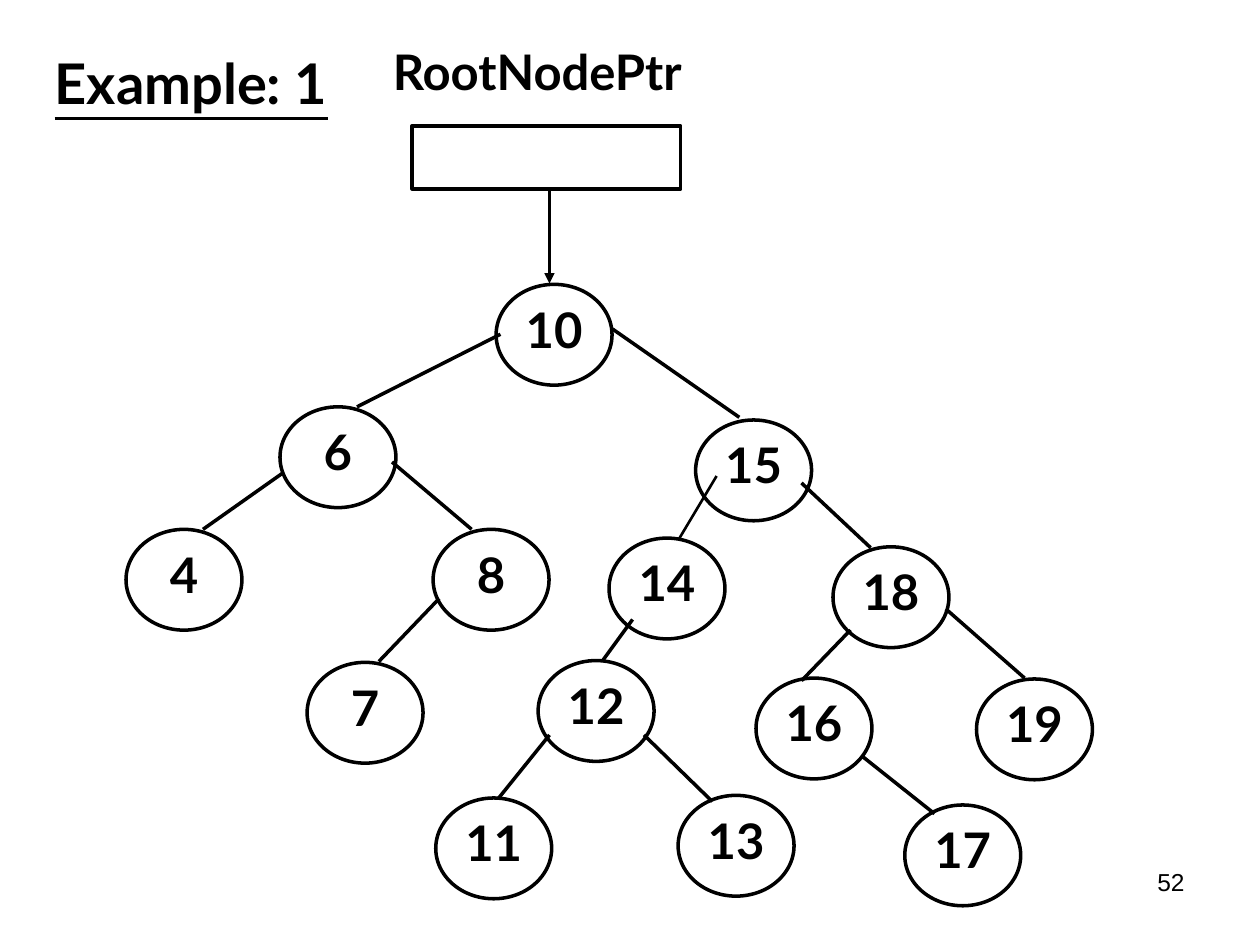
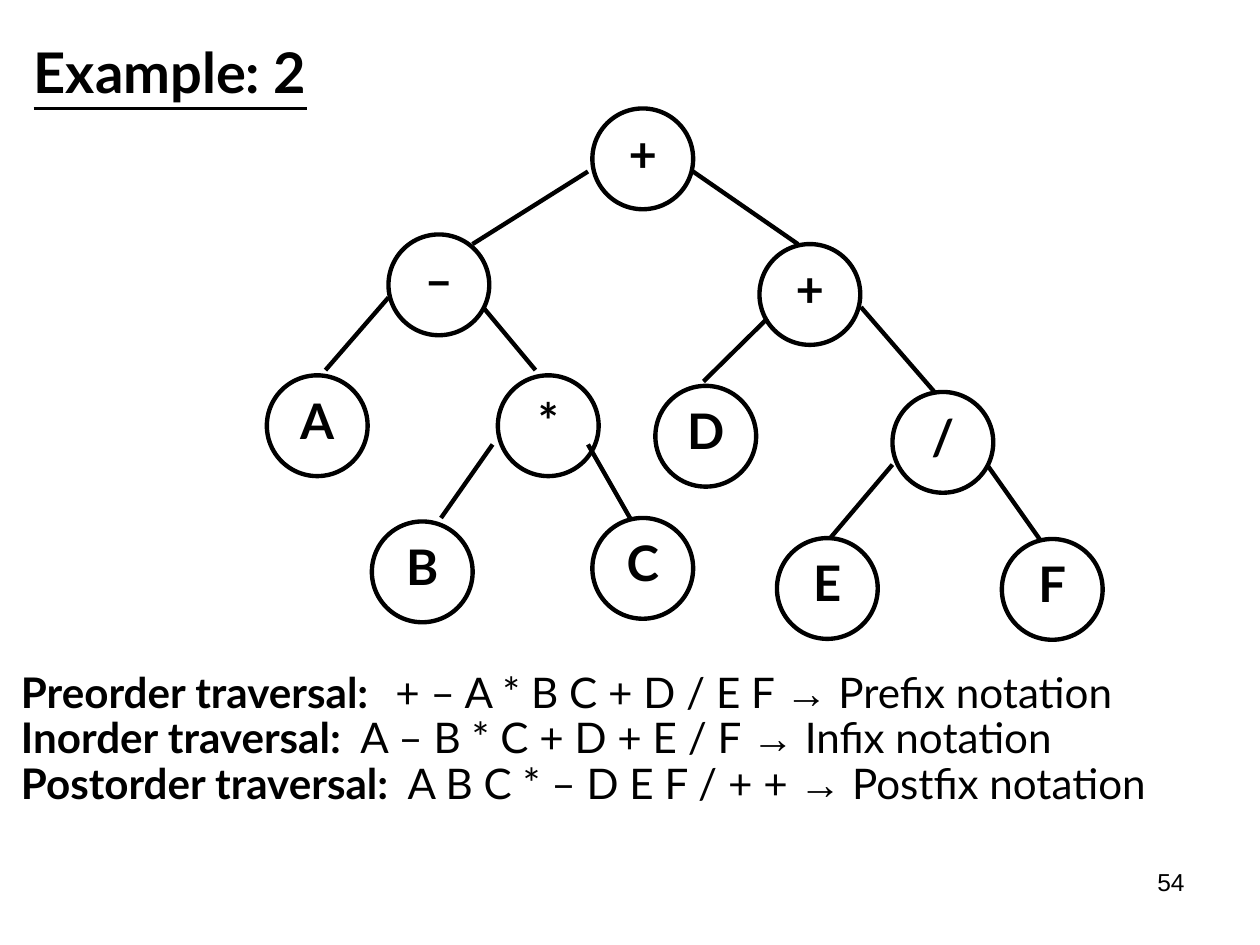
from lxml.etree import SubElement
from pptx import Presentation
from pptx.dml.color import RGBColor
from pptx.enum.shapes import MSO_CONNECTOR as Connector, MSO_SHAPE as Shape
from pptx.enum.text import MSO_ANCHOR as Anchor, PP_ALIGN as Align
from pptx.oxml.ns import qn
from pptx.util import Pt

BLACK = RGBColor(0x00, 0x00, 0x00)
WHITE = RGBColor(0xFF, 0xFF, 0xFF)
LATO = "Lato"
ARIAL = "Arial"
NODE_HEIGHT = 57.6

SEARCH_NODES = [
    ("10", 283.5, 162.5), ("6", 160, 232.5), ("15", 397.5, 240),
    ("4", 72, 302.5), ("8", 247.5, 302.5), ("14", 348, 307.5),
    ("18", 476, 312.5), ("7", 175.5, 378.5), ("12", 307.5, 377.5),
    ("16", 432, 387.5), ("19", 558, 388), ("11", 249, 456),
    ("13", 387.5, 454.5), ("17", 517, 460),
]
SEARCH_EDGES = [
    (286, 191, 204, 232.5), (350, 188, 422.5, 238.5),
    (162, 270, 116, 302.5), (224, 264, 269.5, 302.5),
    (458, 276, 497.5, 313), (251, 342, 216.5, 378),
    (361.5, 354, 344, 378), (486, 360, 458, 389),
    (540.5, 348, 585.5, 387.5), (314, 420, 285, 456),
    (368, 420, 407, 458), (492.5, 432, 534, 465),
]
EXPRESSION_NODES = [
    ("+", 338.5, 62), ("–", 222, 134), ("+", 434, 139.5),
    ("A", 152.5, 214.5), ("*", 284.5, 214.5), ("D", 374.5, 220.5),
    ("/", 510, 224), ("B", 212.5, 298), ("C", 338.5, 296),
    ("E", 444, 307.5), ("F", 572.5, 308),
]
EXPRESSION_EDGES = [
    (336, 98, 270, 139.5), (396, 98, 456, 139.5),
    (222, 170, 186, 211.5), (276, 175.5, 306, 211.5),
    (438.5, 182, 402, 218), (492, 175.5, 534, 224),
    (281.5, 254, 252, 296), (336, 254, 360, 296),
    (510, 265.5, 474, 308), (564, 265.5, 594, 308),
]
TRAVERSALS = [
    ("Preorder", "+ – A * B C + D / E F", "Prefix", 214),
    ("Inorder", "A – B * C + D + E / F", "Infix", 194),
    ("Postorder", "A B C * – D E F / + +", "Postfix", 221),
]


class TreeDeck:
    def __init__(self):
        self.deck = Presentation()
        self.deck.slide_width, self.deck.slide_height = Pt(720), Pt(540)
        self.page = None

    def style(self, para, size, bold=None, name=LATO, align=Align.LEFT):
        para.alignment = align
        font = para.font
        font.name, font.size, font.bold = name, Pt(size), bold
        font.color.rgb = BLACK

    def frame(self, box, margins=(0, 0)):
        frame = box.text_frame
        frame.word_wrap = True
        frame.vertical_anchor = Anchor.TOP
        frame.margin_left = frame.margin_right = Pt(margins[0])
        frame.margin_top = frame.margin_bottom = Pt(margins[1])
        return frame

    def new_page(self, title, left, top, number):
        self.page = self.deck.slides.add_slide(self.deck.slide_layouts[5])
        box = self.page.shapes.title
        box.left, box.top, box.width, box.height = map(Pt, (left, top, 240, 48))
        frame = self.frame(box, (7.2, 3.6))
        frame.text = title
        self.style(frame.paragraphs[0], 32, True)
        frame.paragraphs[0].font.underline = True
        self.label(str(number), (516, 492, 168, 37.5), 14, None, ARIAL,
                   Align.RIGHT, (7.2, 3.6))

    def label(self, text, place, size, bold, name=LATO, align=Align.CENTER,
              margins=(0, 0)):
        box = self.page.shapes.add_textbox(*map(Pt, place))
        frame = self.frame(box, margins)
        frame.text = text
        self.style(frame.paragraphs[0], size, bold, name, align)

    def shape(self, kind, place, weight=None, fill=None):
        shape = self.page.shapes.add_shape(kind, *map(Pt, place))
        shape.shadow.inherit = False
        if fill is None:
            shape.fill.background()
        else:
            shape.fill.solid()
            shape.fill.fore_color.rgb = fill
        if weight is None:
            shape.line.fill.background()
        else:
            shape.line.color.rgb = BLACK
            shape.line.width = Pt(weight)
        return shape

    def node(self, text, left, top, width, weight):
        shape = self.shape(Shape.OVAL, (left, top, width, NODE_HEIGHT), weight)
        frame = self.frame(shape)
        frame.text = text
        self.style(frame.paragraphs[0], 28, True, align=Align.CENTER)

    def edge(self, ends, weight, arrow=False):
        line = self.page.shapes.add_connector(Connector.STRAIGHT, *map(Pt, ends))
        line.line.color.rgb = BLACK
        line.line.width = Pt(weight)
        properties = line._element.spPr
        if arrow:
            SubElement(properties.find(qn("a:ln")), qn("a:tailEnd"), type="triangle")
        SubElement(properties, qn("a:effectLst"))

    def tree(self, nodes, edges, width, weight):
        for text, left, top in nodes:
            self.node(text, left, top, width, weight)
        for ends in edges:
            self.edge(ends, weight)

    def traversals(self, rows, place):
        frame = self.frame(self.shape(Shape.RECTANGLE, place, fill=WHITE))
        for index, (order, sequence, notation, stop) in enumerate(rows):
            para = frame.paragraphs[0] if index == 0 else frame.add_paragraph()
            para.line_spacing = 0.9
            tabs = SubElement(para._p.get_or_add_pPr(), qn("a:tabLst"))
            SubElement(tabs, qn("a:tab"), pos=str(Pt(stop)), algn="l")
            self.style(para, 24.1)
            spans = [
                (f"{order} traversal:", True, LATO),
                (f"\t{sequence} ", False, LATO),
                ("→", False, ARIAL),
                (f" {notation} notation", False, LATO),
            ]
            for text, bold, name in spans:
                span = para.add_run()
                span.text = text
                span.font.bold, span.font.name = bold, name


def main():
    builder = TreeDeck()

    builder.new_page("Example: 1", 24, 24, 52)
    builder.label("RootNodePtr", (216, 24, 182, 42), 28, True)
    builder.shape(Shape.RECTANGLE, (235.5, 72, 153.5, 36), 2)
    builder.edge((314, 108, 314, 162), 1.5, arrow=True)
    builder.tree(SEARCH_NODES, SEARCH_EDGES, 66.25, 2)
    builder.edge((409.5, 272, 388, 308), 1.5)

    builder.new_page("Example: 2", 12, 18, 54)
    builder.tree(EXPRESSION_NODES, EXPRESSION_EDGES, NODE_HEIGHT, 2.5)
    builder.traversals(TRAVERSALS, (12, 384, 702, 96))

    builder.deck.save("out.pptx")


if __name__ == "__main__":
    main()
